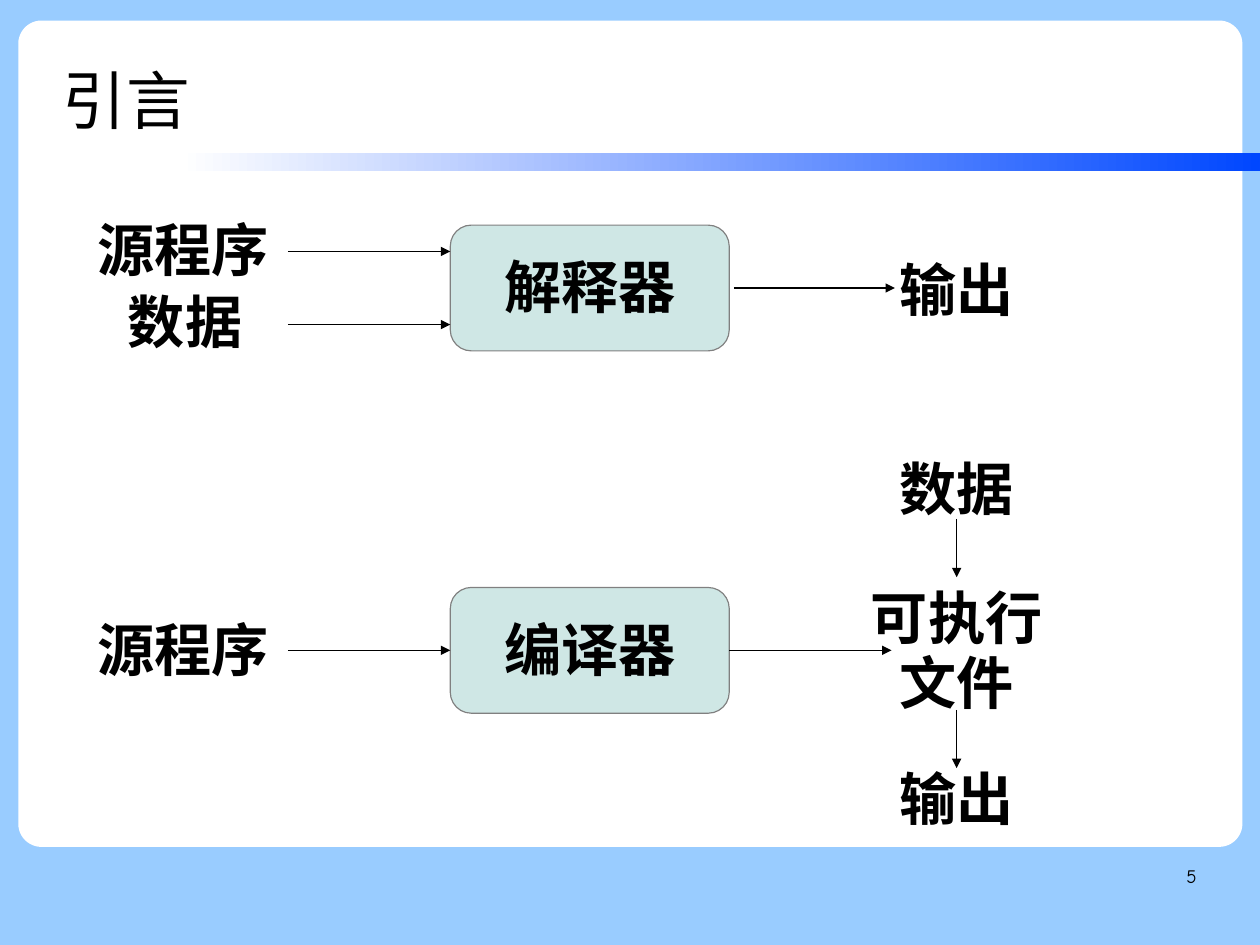
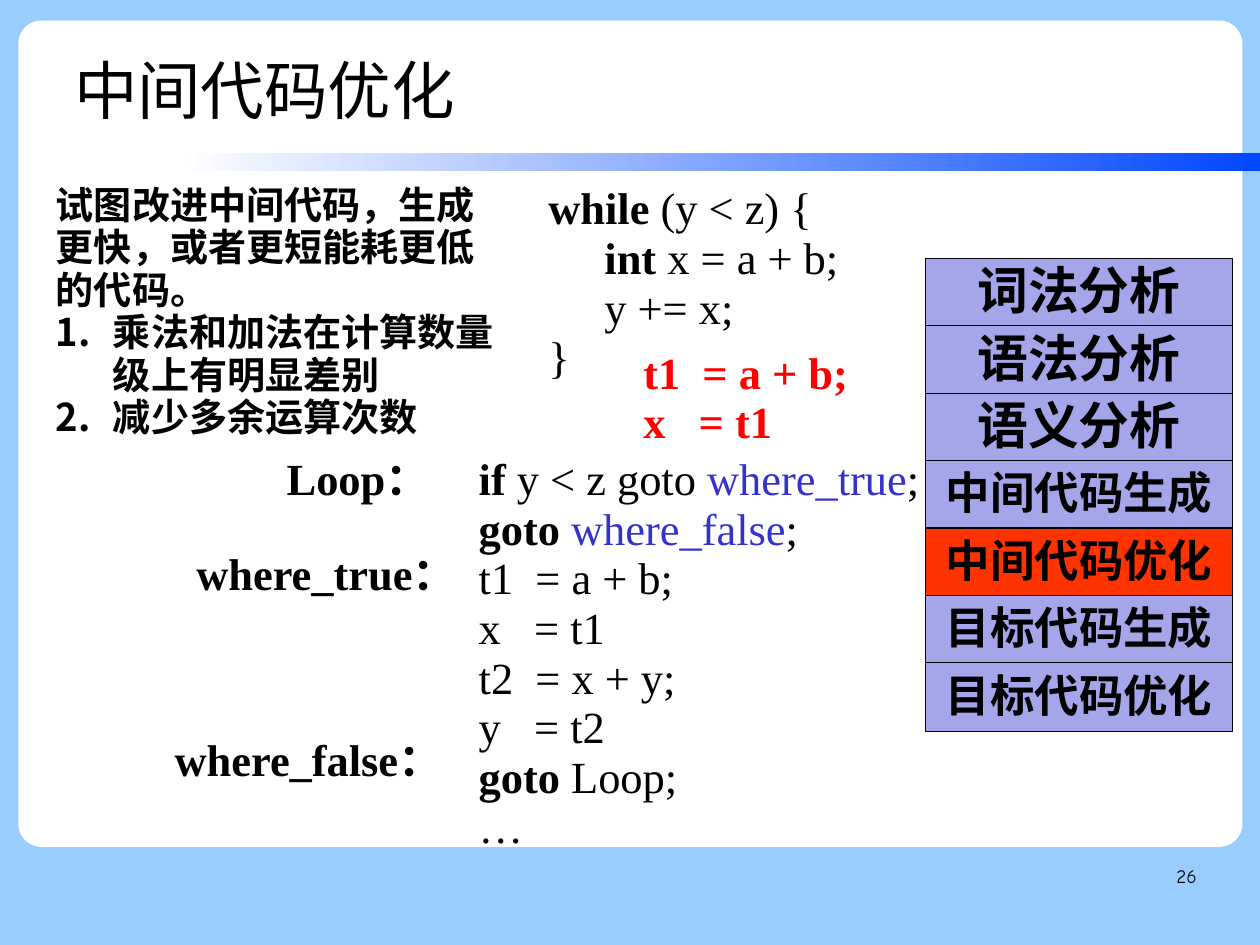
from lxml import etree
from pptx import Presentation
from pptx.dml.color import RGBColor
from pptx.enum.shapes import MSO_CONNECTOR, MSO_SHAPE
from pptx.enum.text import MSO_ANCHOR, PP_ALIGN
from pptx.oxml.ns import qn
from pptx.util import Inches, Pt

LEFT, CENTER, RIGHT = PP_ALIGN.LEFT, PP_ALIGN.CENTER, PP_ALIGN.RIGHT
TOP, MIDDLE = MSO_ANCHOR.TOP, MSO_ANCHOR.MIDDLE
RECT, ROUND_RECT = MSO_SHAPE.RECTANGLE, MSO_SHAPE.ROUNDED_RECTANGLE
PROCESS = MSO_SHAPE.FLOWCHART_ALTERNATE_PROCESS
STRAIGHT = MSO_CONNECTOR.STRAIGHT

COLORS = {
    "background": "99CCFF", "panel": "FFFFFF", "band": "0047FF",
    "text": "000000", "process": "CFE7E5", "process_line": "808080",
    "stage": "A5A5E9", "current": "FF3300", "jump": "3333CC", "reuse": "FF0000",
}
RGB = {name: RGBColor.from_string(value) for name, value in COLORS.items()}
CJK, SERIF = "Noto Sans CJK SC", "Times New Roman"
CM_PER_INCH = 2.54
DEFAULT_INSETS = (0.1, 0.05, 0.1, 0.05)
NO_INSETS = (0, 0, 0, 0)
FLOW_INSETS = (0.1, 0.07, 0.1, 0.05)


def add_box(s, box, shape=None, fill=None, line=None):
    """Add a text box, or a preset shape when one is given."""
    at = [Inches(v) for v in box]
    if shape is None:
        return s.shapes.add_textbox(*at)
    sp = s.shapes.add_shape(shape, *at)
    sp.shadow.inherit = False
    if fill:
        sp.fill.solid()
        sp.fill.fore_color.rgb = RGB[fill]
    if line:
        sp.line.color.rgb = RGB[line]
        sp.line.width = Pt(0.75)
    else:
        sp.line.fill.background()
    return sp


def write(sp, lines, size, font=CJK, bold=True, color="text", align=LEFT,
          anchor=TOP, spacing=0.93, insets=DEFAULT_INSETS, wrap=True):
    """Fill a shape; a line is a string or a list of (text, bold, color) runs."""
    tf = sp.text_frame
    tf.word_wrap = wrap
    tf.vertical_anchor = anchor
    tf.margin_left, tf.margin_top, tf.margin_right, tf.margin_bottom = map(Inches, insets)
    for i, line in enumerate(lines):
        p = tf.add_paragraph() if i else tf.paragraphs[0]
        p.alignment = align
        p.line_spacing = spacing
        for text, is_bold, run_color in [(line, bold, color)] if isinstance(line, str) else line:
            r = p.add_run()
            r.text = text
            r.font.name = font
            r.font.size = Pt(size)
            r.font.bold = is_bold
            r.font.color.rgb = RGB[run_color]
            r.font._element.find(qn("a:latin")).addnext(
                etree.Element(qn("a:ea"), typeface=CJK))
    return tf


prs = Presentation()
prs.slide_width, prs.slide_height = Inches(28 / CM_PER_INCH), Inches(21 / CM_PER_INCH)

# Shared frame: background, panel, band, title and page number
pages = [("引言", "5", MIDDLE, NO_INSETS), ("中间代码优化", "26", TOP, DEFAULT_INSETS)]
slides = []
for title, number, anchor, insets in pages:
    s = prs.slides.add_slide(prs.slide_layouts[6])
    s.background.fill.solid()
    s.background.fill.fore_color.rgb = RGB["background"]
    panel = add_box(s, (0.16, 0.18, 10.71, 7.23), ROUND_RECT, "panel")
    panel.adjustments[0] = 0.028
    band = add_box(s, (1.57, 1.34, 9.45, 0.16), RECT)
    band.fill.gradient()
    band.fill.gradient_angle = 0
    for stop, name in zip(band.fill.gradient_stops, ("panel", "band")):
        stop.color.rgb = RGB[name]
    write(add_box(s, (0.55, 0.33, 8.58, 1.01)), [title], 40, bold=False,
          anchor=anchor, spacing=1.1, insets=insets)
    write(add_box(s, (7.9, 7.53, 2.57, 0.57)), [number], 12, "Comic Neue", False,
          align=RIGHT, spacing=1.16, insets=NO_INSETS)
    slides.append(s)
intro, optimize = slides

# Interpreter and compiler flows
for name, top in (("解释器", 1.97), ("编译器", 5.14)):
    sp = add_box(intro, (3.94, top, 2.44, 1.1), PROCESS, "process", "process_line")
    write(sp, [name], 36, align=CENTER, anchor=MIDDLE, spacing=0.95,
          insets=FLOW_INSETS, wrap=False)

labels = [
    (0.75, 1.85, 1.7, ["源程序"]), (1.02, 2.48, 1.2, ["数据"]),
    (7.77, 2.2, 1.2, ["输出"]), (0.75, 5.35, 1.7, ["源程序"]),
    (7.77, 3.94, 1.2, ["数据"]), (7.52, 5.07, 1.7, ["可执行", "文件"]),
    (7.77, 6.65, 1.2, ["输出"]),
]
for left, top, width, lines in labels:
    sp = add_box(intro, (left, top, width, 0.1 + 0.57 * len(lines)))
    write(sp, lines, 36, align=CENTER, spacing=0.95, insets=FLOW_INSETS, wrap=False)

arrows = [
    (2.52, 2.2, 3.94, 2.2), (2.52, 2.84, 3.94, 2.84), (6.42, 2.52, 7.83, 2.52),
    (2.52, 5.69, 3.94, 5.69), (6.38, 5.69, 7.8, 5.69),
    (8.37, 4.54, 8.37, 5.05), (8.37, 6.21, 8.37, 6.72),
]
for ends in arrows:
    arrow = intro.shapes.add_connector(STRAIGHT, *[Inches(v) for v in ends])
    arrow.line.color.rgb = RGB["text"]
    arrow.line.width = Pt(0.75)
    etree.SubElement(arrow.line._get_or_add_ln(), qn("a:tailEnd"), type="triangle")
    etree.SubElement(arrow._element.spPr, qn("a:effectLst"))

# Source loop
loop_code = [
    [("while", True, "text"), (" (y < z) {", False, "text")],
    [("\t", False, "text"), ("int", True, "text"), (" x = a + b;", False, "text")],
    "\ty += x;",
    "}",
]
tf = write(add_box(optimize, (4.7, 1.57, 2.77, 1.85)), loop_code, 28, SERIF, False, wrap=False)
for p in tf.paragraphs:
    tabs = etree.SubElement(p._p.get_or_add_pPr(), qn("a:tabLst"))
    etree.SubElement(tabs, qn("a:tab"), pos=str(Inches(0.49)), algn="l")

# Compiler stages
stages = ["词法分析", "语法分析", "语义分析", "中间代码生成",
          "中间代码优化", "目标代码生成", "目标代码优化"]
for i, stage in enumerate(stages):
    fill = "current" if stage == "中间代码优化" else "stage"
    sp = add_box(optimize, (8.1, 2.26 + 0.59 * i, 2.68, 0.6), RECT, fill, "text")
    write(sp, [stage], 32 if len(stage) == 4 else 28, align=CENTER, anchor=MIDDLE)

# Intermediate code with its jump labels
jump_code = [
    [("if", True, "text"), (" y < z goto ", False, "text"),
     ("where_true", False, "jump"), (";", False, "text")],
    [("goto ", True, "text"), ("where_false", False, "jump"), (";", False, "text")],
    "t1  = a + b;",
    "x   = t1",
    "t2  = x + y;",
    "y   = t2",
    [("goto", True, "text"), (" Loop;", False, "text")],
    "…",
]
write(add_box(optimize, (4.09, 3.94, 5.17, 3.61)), jump_code, 28, SERIF, False)
for label, left, top in (("Loop：", 2.41, 3.94), ("where_true：", 1.62, 4.77),
                         ("where_false：", 1.43, 6.4)):
    write(add_box(optimize, (left, top, 4.68, 0.54)), [label], 28, SERIF)
write(add_box(optimize, (5.53, 3.01, 2.9, 0.98)), ["t1  = a + b;", "x   = t1"],
      28, SERIF, color="reuse")

# Goals of the optimization
goals = [
    "试图改进中间代码，生成更快，或者更短能耗更低的代码。",
    "乘法和加法在计算数量级上有明显差别",
    "减少多余运算次数",
]
tf = write(add_box(optimize, (0.39, 1.57, 4.15, 2.35)), goals, 24)
for p in tf.paragraphs[1:]:
    pPr = p._p.get_or_add_pPr()
    pPr.set("marL", str(Inches(0.5)))
    pPr.set("indent", str(Inches(-0.5)))
    etree.SubElement(pPr, qn("a:buAutoNum"), type="arabicPeriod")

prs.save("out.pptx")
